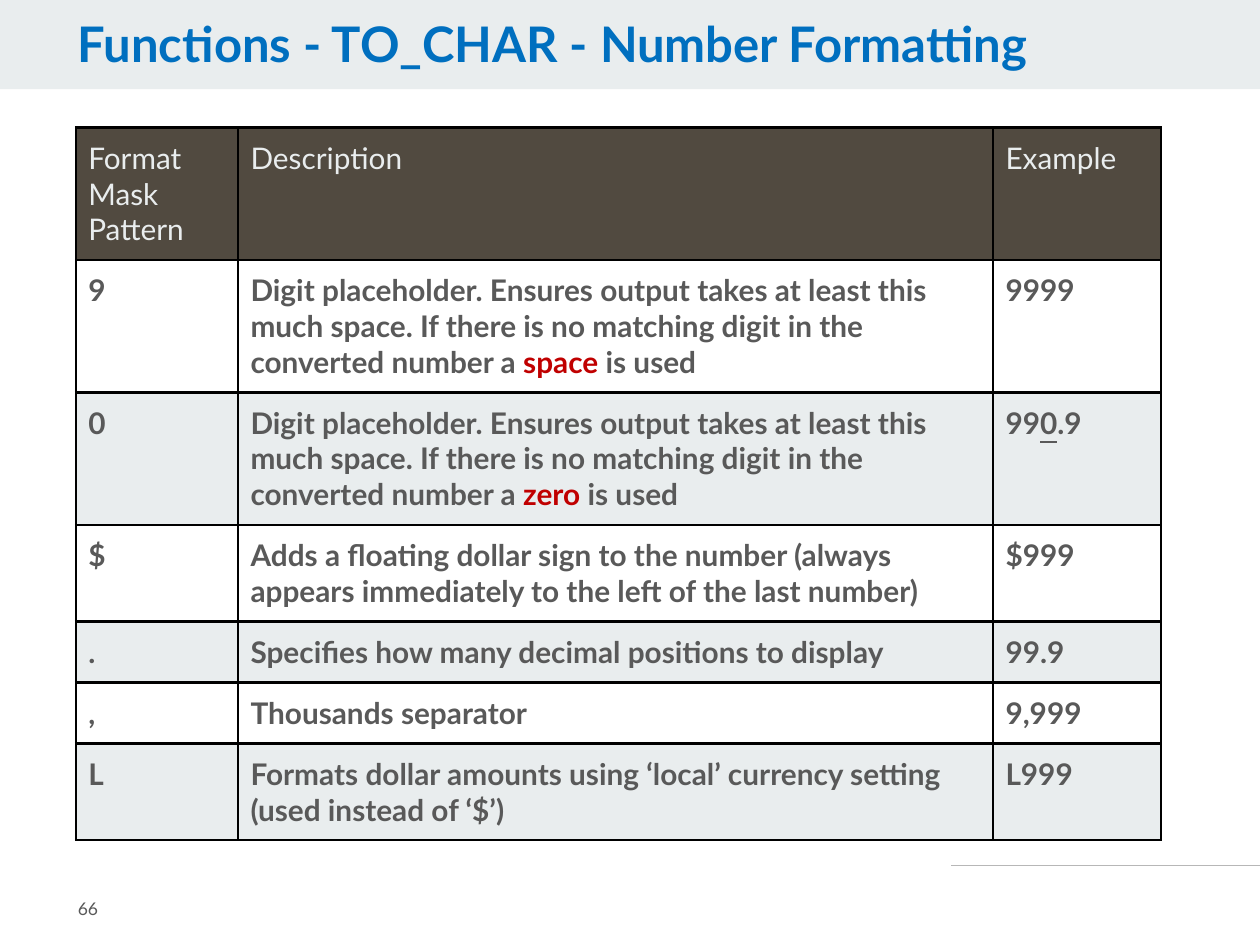
from typing import NamedTuple

import pptx
import pptx.dml.color
import pptx.enum.shapes
import pptx.enum.text
import pptx.oxml
import pptx.oxml.ns
import pptx.util
from pptx.util import Cm

FONT = "Lato"
PALE, BROWN, GREY, RED, BLUE = "E9EDEE", "514A40", "595959", "C00000", "006FBF"
BLACK, SILVER = "000000", "B7B7B7"
INSET = Cm(0.25)


class Run(NamedTuple):
    text: str
    color: str | None = None
    underline: bool | None = None


class Row(NamedTuple):
    lines: int
    cells: tuple[tuple[Run, ...], ...]


def row(lines: int, *cells: str | tuple[Run, ...]) -> Row:
    return Row(lines, tuple((Run(cell),) if isinstance(cell, str) else cell for cell in cells))


def digit_description(filler: str) -> tuple[Run, ...]:
    return (
        Run("Digit placeholder. Ensures output takes at least this much space. "
            "If there is no matching digit in the converted number a "),
        Run(filler, RED),
        Run(" is used"),
    )


ROWS = [
    row(3, "Format Mask Pattern", "Description", "Example"),
    row(3, "9", digit_description("space"), "9999"),
    row(3, "0", digit_description("zero"), (Run("99"), Run("0", underline=True), Run(".9"))),
    row(2, "$", "Adds a floating dollar sign to the number "
        "(always appears immediately to the left of the last number)", "$999"),
    row(1, ".", "Specifies how many decimal positions to display", "99.9"),
    row(1, ",", "Thousands separator", "9,999"),
    row(2, "L", "Formats dollar amounts using ‘local’ currency setting "
        "(used instead of ‘$’)", "L999"),
]
COLUMN_WIDTHS = [Cm(3.27), Cm(15.22), Cm(3.38)]


def rgb(color: str) -> pptx.dml.color.RGBColor:
    return pptx.dml.color.RGBColor.from_string(color)


def set_insets(frame, left, top) -> None:
    frame.margin_left = frame.margin_right = left
    frame.margin_top = frame.margin_bottom = top


def write(paragraph, runs: tuple[Run, ...], size: int, color: str, bold: bool = False) -> None:
    paragraph.font.name = FONT
    paragraph.font.size = pptx.util.Pt(size)
    paragraph.font.bold = bold
    paragraph.font.color.rgb = rgb(color)
    for item in runs:
        run = paragraph.add_run()
        run.text = item.text
        if item.color:
            run.font.color.rgb = rgb(item.color)
        if item.underline:
            run.font.underline = True


def add_text(slide, box: tuple, text: str, size: int, color: str, bold: bool,
             top_inset, anchor):
    frame = slide.shapes.add_textbox(*box).text_frame
    frame.word_wrap = True
    frame.vertical_anchor = anchor
    set_insets(frame, INSET, top_inset)
    write(frame.paragraphs[0], (Run(text),), size, color, bold)
    return frame.paragraphs[0]


def add_borders(cell, color: str, width: float) -> None:
    properties = cell._tc.get_or_add_tcPr()
    for side in ("lnL", "lnR", "lnT", "lnB"):
        properties.append(pptx.oxml.parse_xml(
            f'<a:{side} {pptx.oxml.ns.nsdecls("a")} w="{pptx.util.Pt(width)}">'
            f'<a:solidFill><a:srgbClr val="{color}"/></a:solidFill></a:{side}>'))


def add_format_table(slide, left, top) -> None:
    heights = [Cm(0.51 + 0.72 * item.lines) for item in ROWS]
    table = slide.shapes.add_table(len(ROWS), len(COLUMN_WIDTHS), left, top,
                                   sum(COLUMN_WIDTHS), sum(heights)).table
    table.first_row = table.horz_banding = False
    for column, width in zip(table.columns, COLUMN_WIDTHS):
        column.width = width
    for index, (item, height) in enumerate(zip(ROWS, heights)):
        table.rows[index].height = height
        header = index == 0
        for cell, runs in zip(table.rows[index].cells, item.cells):
            set_insets(cell, INSET, INSET)
            add_borders(cell, BLACK, 1.5)
            if index % 2:
                cell.fill.background()
            else:
                cell.fill.solid()
                cell.fill.fore_color.rgb = rgb(BROWN if header else PALE)
            write(cell.text_frame.paragraphs[0], runs, 17,
                  PALE if header else GREY, bold=not header)


def main() -> None:
    presentation = pptx.Presentation()
    presentation.slide_width, presentation.slide_height = Cm(25.4), Cm(19.05)
    slide = presentation.slides.add_slide(presentation.slide_layouts[6])

    # Footer rule
    rule = slide.shapes.add_connector(pptx.enum.shapes.MSO_CONNECTOR.STRAIGHT,
                                      Cm(19.18), Cm(17.45), Cm(25.4), Cm(17.45))
    rule.line.color.rgb = rgb(SILVER)
    rule.line.width = pptx.util.Pt(0.75)
    rule._element.spPr.append(pptx.oxml.parse_xml(
        f'<a:effectLst {pptx.oxml.ns.nsdecls("a")}/>'))

    # Title band
    band = slide.shapes.add_shape(pptx.enum.shapes.MSO_SHAPE.RECTANGLE,
                                  0, 0, presentation.slide_width, Cm(1.8))
    band.shadow.inherit = False
    band.fill.solid()
    band.fill.fore_color.rgb = rgb(PALE)
    band.line.fill.background()

    # Title and page number
    anchors = pptx.enum.text.MSO_ANCHOR
    title = add_text(slide, (Cm(1.32), Cm(0.28), Cm(20.02), Cm(1.4)),
                     "Functions - TO_CHAR - Number Formatting", 28, BLUE, True,
                     Cm(0.13), anchors.TOP)
    title.line_spacing = 0.9
    add_text(slide, (Cm(1.32), Cm(17.6), Cm(3.12), Cm(1.45)), "66", 10, GREY, False,
             INSET, anchors.MIDDLE)

    # Format masks
    add_format_table(slide, Cm(1.53), Cm(2.57))

    presentation.save("out.pptx")


if __name__ == "__main__":
    main()
